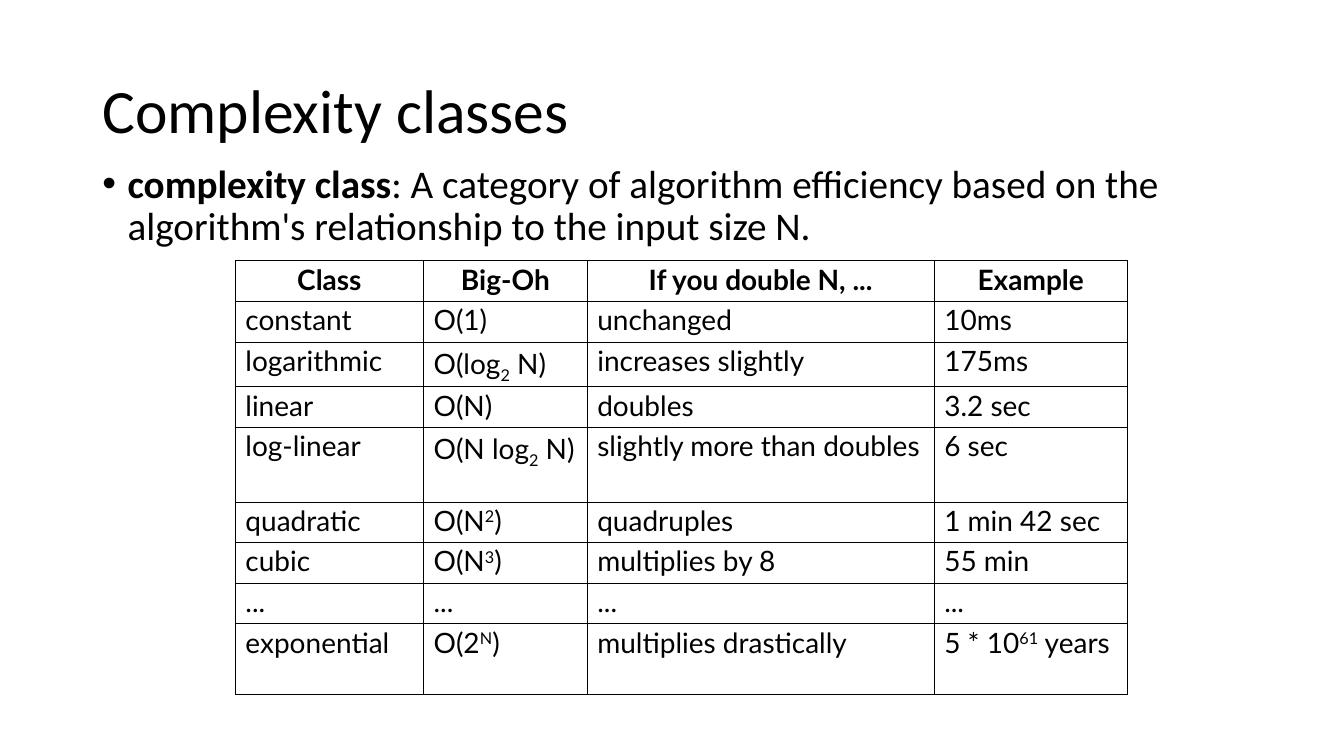
from lxml.etree import SubElement
from pptx import Presentation
from pptx.dml.color import RGBColor
from pptx.enum.text import MSO_ANCHOR, MSO_AUTO_SIZE, PP_ALIGN
from pptx.oxml.ns import qn
from pptx.util import Pt

COLORS = {"text": "000000", "border": "000000"}
BODY_FONT, TABLE_FONT = "Calibri", "Lato"
LINE_SPACING = 0.9
BASELINES = {"_": "-25000", "^": "30000"}

COLUMN_WIDTHS = [134.5, 117, 248, 138]
ROW_HEIGHTS = [29, 29, 32, 29, 53.3, 29, 29, 29, 50.4]
# A tuple holds base text, "_" (subscript) or "^" (superscript), raised or lowered text, rest
ROWS = [
    ["Class", "Big-Oh", "If you double N, ...", "Example"],
    ["constant", "O(1)", "unchanged", "10ms"],
    ["logarithmic", ("O(log", "_", "2", " N)"), "increases slightly", "175ms"],
    ["linear", "O(N)", "doubles", "3.2 sec"],
    ["log-linear", ("O(N log", "_", "2", " N)"), "slightly more than doubles", "6 sec"],
    ["quadratic", ("O(N", "^", "2", ")"), "quadruples", "1 min 42 sec"],
    ["cubic", ("O(N", "^", "3", ")"), "multiplies by 8", "55 min"],
    ["..."] * 4,
    ["exponential", ("O(2", "^", "N", ")"), "multiplies drastically",
     ("5 * 10", "^", "61", " years")],
]


def add_run(p, text, font, size, bold=False):
    r = p.add_run()
    r.text = text
    r.font.name, r.font.size, r.font.bold = font, Pt(size), bold
    r.font.color.rgb = RGBColor.from_string(COLORS["text"])
    return r


def place(sp, left, top, width, height, anchor):
    """Move a placeholder and return its first paragraph."""
    sp.left, sp.top, sp.width, sp.height = Pt(left), Pt(top), Pt(width), Pt(height)
    tf = sp.text_frame
    tf.word_wrap = True
    tf.auto_size = MSO_AUTO_SIZE.NONE
    tf.vertical_anchor = anchor
    p = tf.paragraphs[0]
    p.alignment = PP_ALIGN.LEFT
    p.line_spacing = LINE_SPACING
    p.space_before = Pt(0)
    return p


def add_title(s, left, top, width, height):
    p = place(s.shapes.title, left, top, width, height, MSO_ANCHOR.MIDDLE)
    add_run(p, "Complexity classes", BODY_FONT, 44)


def add_definition(s, left, top, width, height):
    p = place(s.placeholders[1], left, top, width, height, MSO_ANCHOR.TOP)
    # Hanging bullet
    pPr = p._p.get_or_add_pPr()
    pPr.set("marL", str(Pt(18)))
    pPr.set("indent", str(-Pt(18)))
    SubElement(pPr, qn("a:buFont"), typeface="Arial")
    SubElement(pPr, qn("a:buChar"), char="•")
    add_run(p, "complexity class", BODY_FONT, 28, bold=True)
    add_run(p, ": A category of algorithm efficiency based on the "
               "algorithm's relationship to the input size N.", BODY_FONT, 28)


def add_borders(cell):
    tcPr = cell._tc.get_or_add_tcPr()
    for side in ("lnL", "lnR", "lnT", "lnB"):
        ln = SubElement(tcPr, qn(f"a:{side}"), w=str(Pt(0.45)))
        fill = SubElement(ln, qn("a:solidFill"))
        SubElement(fill, qn("a:srgbClr"), val=COLORS["border"])


def fill_cell(cell, content, header):
    cell.margin_left = cell.margin_right = Pt(7.2)
    cell.margin_top = cell.margin_bottom = Pt(3.6)
    cell.vertical_anchor = MSO_ANCHOR.TOP
    add_borders(cell)
    cell.fill.background()
    p = cell.text_frame.paragraphs[0]
    p.alignment = PP_ALIGN.CENTER if header else PP_ALIGN.LEFT
    p.line_spacing = LINE_SPACING
    if isinstance(content, str):
        add_run(p, content, TABLE_FONT, 20, header)
        return
    base, mark, shifted, rest = content
    add_run(p, base, TABLE_FONT, 20, header)
    r = add_run(p, shifted, TABLE_FONT, 20, header)
    r.font._element.set("baseline", BASELINES[mark])
    add_run(p, rest, TABLE_FONT, 20, header)


def add_class_table(s, left, top):
    frame = s.shapes.add_table(len(ROWS), len(COLUMN_WIDTHS), Pt(left), Pt(top),
                               Pt(sum(COLUMN_WIDTHS)), Pt(sum(ROW_HEIGHTS)))
    table = frame.table
    table.first_row = table.horz_banding = False
    for column, width in zip(table.columns, COLUMN_WIDTHS):
        column.width = Pt(width)
    for i, (row, height) in enumerate(zip(table.rows, ROW_HEIGHTS)):
        row.height = Pt(height)
        for cell, content in zip(row.cells, ROWS[i]):
            fill_cell(cell, content, header=i == 0)


def main():
    prs = Presentation()
    prs.slide_width, prs.slide_height = Pt(960.48), Pt(540)
    s = prs.slides.add_slide(prs.slide_layouts[1])
    add_title(s, 66, 28.8, 828, 104.4)
    add_definition(s, 66, 114, 828, 342.7)
    add_class_table(s, 168.2, 186.2)
    prs.save("out.pptx")


if __name__ == "__main__":
    main()
